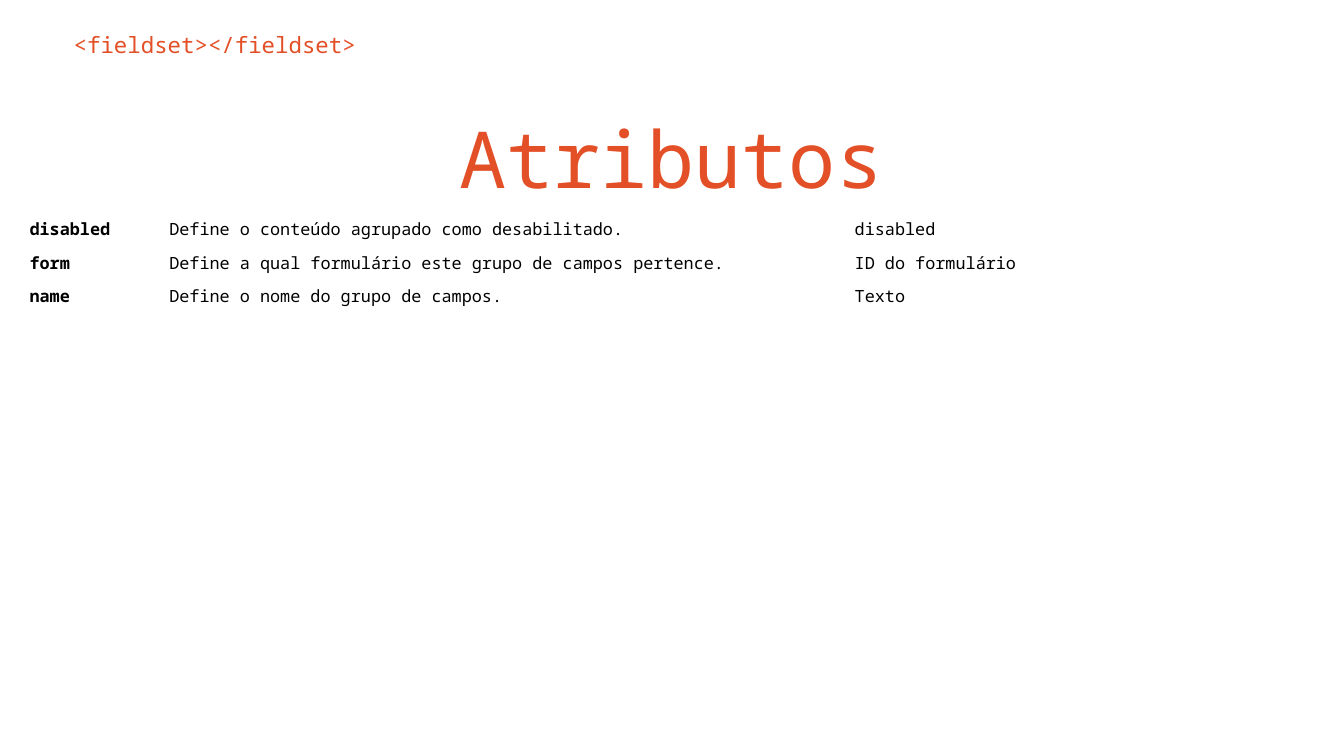
from pptx import Presentation
from pptx.dml.color import RGBColor
from pptx.enum.text import MSO_ANCHOR as Anchor, MSO_AUTO_SIZE as AutoSize, PP_ALIGN as Align
from pptx.util import Inches, Pt

ORANGE = RGBColor(0xE3, 0x4F, 0x26)
BLACK = RGBColor(0x00, 0x00, 0x00)
FONT = "Noto Sans Mono"
TITLE_ONLY = 5

ATTRIBUTES = [
    ("disabled", "Define o conteúdo agrupado como desabilitado.", "disabled"),
    ("form", "Define a qual formulário este grupo de campos pertence.", "ID do formulário"),
    ("name", "Define o nome do grupo de campos.", "Texto"),
]
COLUMN_WIDTHS = (1.04, 5.1, 3.37)
ROW_HEIGHT = 0.2


def write_text(text_frame, text, size, color=BLACK, bold=False, align=Align.LEFT):
    paragraph = text_frame.paragraphs[0]
    paragraph.alignment = align
    run = paragraph.add_run()
    run.text = text
    run.font.name = FONT
    run.font.size = Pt(size)
    run.font.bold = bold
    run.font.color.rgb = color


class SlideBuilder:
    def __init__(self, presentation):
        self.slide = presentation.slides.add_slide(presentation.slide_layouts[TITLE_ONLY])

    def fill_frame(self, shape, text, anchor, **text_format):
        frame = shape.text_frame
        frame.word_wrap = True
        frame.auto_size = AutoSize.NONE
        frame.vertical_anchor = anchor
        frame.margin_left = frame.margin_right = Inches(0.1)
        frame.margin_top = frame.margin_bottom = Inches(0.1)
        write_text(frame, text, **text_format)

    def add_label(self, text, left, top, width, height, **text_format):
        box = self.slide.shapes.add_textbox(
            Inches(left), Inches(top), Inches(width), Inches(height))
        self.fill_frame(box, text, Anchor.TOP, **text_format)

    def set_title(self, text, left, top, width, height, **text_format):
        title = self.slide.shapes.title
        title.left, title.top = Inches(left), Inches(top)
        title.width, title.height = Inches(width), Inches(height)
        self.fill_frame(title, text, Anchor.MIDDLE, **text_format)

    def add_table(self, rows, left, top, size):
        table = self.slide.shapes.add_table(
            len(rows), len(COLUMN_WIDTHS), Inches(left), Inches(top),
            Inches(sum(COLUMN_WIDTHS)), Inches(ROW_HEIGHT * len(rows))).table
        table.first_row = table.horz_banding = False
        for column, width in zip(table.columns, COLUMN_WIDTHS):
            column.width = Inches(width)
        for row, values in zip(table.rows, rows):
            row.height = Inches(ROW_HEIGHT)
            for index, (cell, value) in enumerate(zip(row.cells, values)):
                cell.fill.background()
                cell.margin_left = cell.margin_right = Inches(0.04)
                cell.margin_top = cell.margin_bottom = Inches(0.04)
                write_text(cell.text_frame, value, size, bold=index == 0)


def main():
    # Widescreen slide, 16:9
    presentation = Presentation()
    presentation.slide_width = Inches(10)
    presentation.slide_height = Inches(10) * 9 // 16
    builder = SlideBuilder(presentation)

    # Element name and heading
    builder.add_label("<fieldset></fieldset>", 0.45, 0.13, 9.18, 0.42, size=12, color=ORANGE)
    builder.set_title("Atributos", 0.71, 0.74, 8.57, 0.86,
                      size=42, color=ORANGE, align=Align.CENTER)

    # Attribute, description and value
    builder.add_table(ATTRIBUTES, 0.18, 1.58, size=9)

    presentation.save("out.pptx")


if __name__ == "__main__":
    main()
